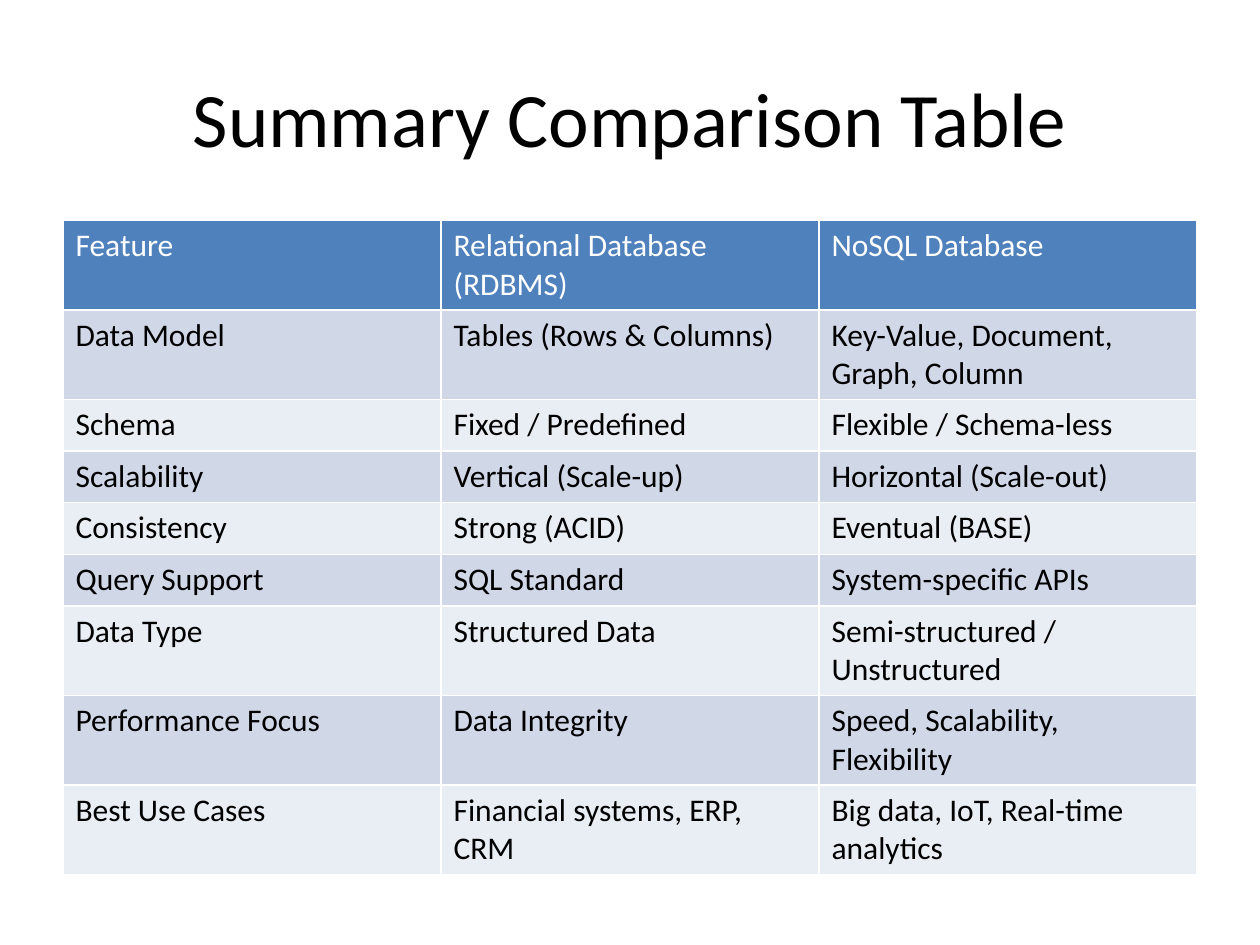
from pptx import Presentation, util as u
from pptx.dml.color import RGBColor
from pptx.enum import text

TITLE = "Summary Comparison Table"
HEADER = ("Feature", "Relational Database (RDBMS)", "NoSQL Database")
FEATURES = [
    ("Data Model", "Tables (Rows & Columns)", "Key-Value, Document, Graph, Column"),
    ("Schema", "Fixed / Predefined", "Flexible / Schema-less"),
    ("Scalability", "Vertical (Scale-up)", "Horizontal (Scale-out)"),
    ("Consistency", "Strong (ACID)", "Eventual (BASE)"),
    ("Query Support", "SQL Standard", "System-specific APIs"),
    ("Data Type", "Structured Data", "Semi-structured / Unstructured"),
    ("Performance Focus", "Data Integrity", "Speed, Scalability, Flexibility"),
    ("Best Use Cases", "Financial systems, ERP, CRM", "Big data, IoT, Real-time analytics"),
]

BLACK = RGBColor(0x00, 0x00, 0x00)
WHITE = RGBColor(0xFF, 0xFF, 0xFF)
HEADER_BLUE = RGBColor(0x4F, 0x81, 0xBD)
BANDS = (RGBColor(0xD0, 0xD8, 0xE8), RGBColor(0xE9, 0xED, 0xF4))

WIDTH, HEIGHT = u.Inches(10), u.Inches(7.5)
MARGIN = int(WIDTH * 0.05)
CONTENT_WIDTH = WIDTH - 2 * MARGIN
TITLE_TOP, TITLE_HEIGHT = int(HEIGHT * 0.04), u.Inches(1.25)
GRID_TOP = u.Inches(1.75)
LINE_HEIGHT, ROW_PADDING = u.Inches(0.3), u.Inches(0.11)
LINE_CAPACITY = 24

TITLE_FONT = {"name": "Calibri", "size": u.Pt(44)}
CELL_FONT = {"name": "Calibri", "size": u.Pt(18), "bold": False}


def write(frame, words, font, color):
    paragraph = frame.paragraphs[0]
    run = paragraph.add_run()
    run.text = words
    for key, value in font.items():
        setattr(run.font, key, value)
    run.font.color.rgb = color
    return paragraph


def add_title(slide):
    frame = slide.shapes.add_textbox(MARGIN, TITLE_TOP, CONTENT_WIDTH, TITLE_HEIGHT).text_frame
    frame.word_wrap = True
    frame.vertical_anchor = text.MSO_ANCHOR.MIDDLE
    write(frame, TITLE, TITLE_FONT, BLACK).alignment = text.PP_ALIGN.CENTER


def add_comparison(slide):
    rows = [HEADER] + FEATURES
    lines = [2 if max(map(len, row)) > LINE_CAPACITY else 1 for row in rows]
    heights = [ROW_PADDING + count * LINE_HEIGHT for count in lines]
    comparison = slide.shapes.add_table(
        len(rows), len(HEADER), MARGIN, GRID_TOP, CONTENT_WIDTH, sum(heights)
    ).table
    for index, (row, height) in enumerate(zip(rows, heights)):
        comparison.rows[index].height = height
        fill = BANDS[(index - 1) % 2] if index else HEADER_BLUE
        for column, words in enumerate(row):
            cell = comparison.cell(index, column)
            cell.fill.solid()
            cell.fill.fore_color.rgb = fill
            write(cell.text_frame, words, CELL_FONT, BLACK if index else WHITE)


def main():
    deck = Presentation()
    deck.slide_width, deck.slide_height = WIDTH, HEIGHT
    slide = deck.slides.add_slide(deck.slide_layouts[6])
    add_title(slide)
    add_comparison(slide)
    deck.save("out.pptx")


if __name__ == "__main__":
    main()
